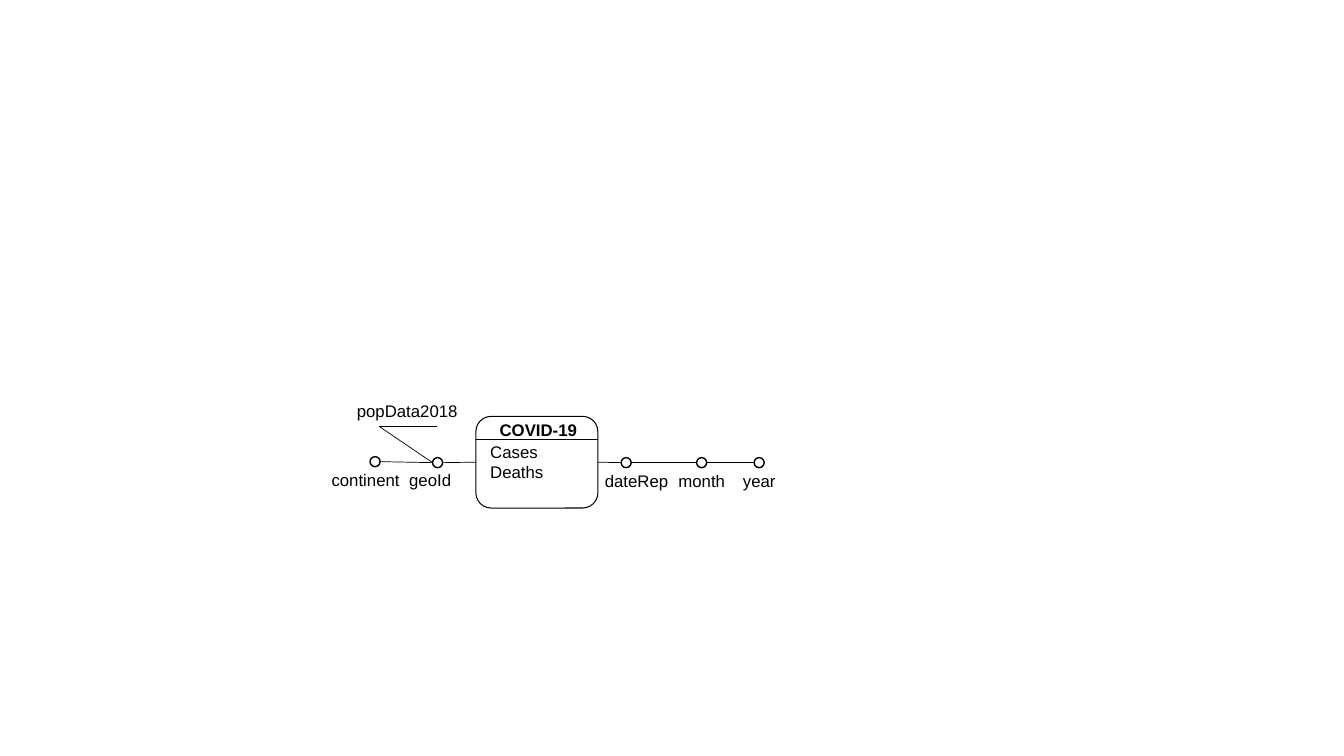
from dataclasses import dataclass

from lxml import etree
from pptx import Presentation
from pptx.dml.color import RGBColor
from pptx.enum.shapes import MSO_CONNECTOR, MSO_SHAPE
from pptx.enum.text import MSO_ANCHOR, MSO_AUTO_SIZE, PP_ALIGN
from pptx.oxml.ns import qn
from pptx.util import Emu, Inches, Pt

LINE = MSO_CONNECTOR.STRAIGHT
ROUND, OVAL = MSO_SHAPE.ROUNDED_RECTANGLE, MSO_SHAPE.OVAL
LEFT, CENTER = PP_ALIGN.LEFT, PP_ALIGN.CENTER
MIDDLE, GROW = MSO_ANCHOR.MIDDLE, MSO_AUTO_SIZE.SHAPE_TO_FIT_TEXT
BLACK, WHITE = "000000", "FFFFFF"

# Grid of 100 columns by 100 rows
WIDTH, HEIGHT = Inches(13.33), Inches(7.5)
DOT = Inches(0.1)
AXIS = 61.2
BOX = (35.41, 55.07, 9.08, 12.13)
RULE = 58.13


@dataclass(frozen=True)
class Level:
    """A dot of the hierarchy; col and row give its centre."""
    name: str
    col: float
    row: float
    left: float
    top: float
    width: float


GEO = Level("geoId", 32.56, AXIS, 29.71, 61.47, 4.65)
LAND = Level("continent", 27.91, 61.07, 23.93, 61.47, 6.6)
DAY = Level("dateRep", 46.59, AXIS, 44.26, 61.6, 6.23)
MONTH = Level("month", 52.21, AXIS, 49.74, 61.6, 5.03)
YEAR = Level("year", 56.49, AXIS, 54.54, 61.6, 3.98)


def across(col: float) -> Emu:
    return Emu(round(WIDTH * col / 100))


def down(row: float) -> Emu:
    return Emu(round(HEIGHT * row / 100))


def area(left: float, top: float, width: float, height: float) -> tuple:
    return across(left), down(top), across(width), down(height)


def paint(hue: str) -> RGBColor:
    return RGBColor.from_string(hue)


def write(shape, lines: list[str], bold: bool = False, align=LEFT) -> None:
    frame = shape.text_frame
    frame.text = "\n".join(lines)
    for para in frame.paragraphs:
        para.alignment = align
        font = para.font
        font.name, font.size, font.bold = "Arial", Pt(12), bold
        font.color.rgb = paint(BLACK)


def label(shapes, text: str, place: tuple, wrap: bool = False,
          bold: bool = False, align=LEFT) -> None:
    box = shapes.add_textbox(*area(*place))
    box.text_frame.word_wrap = wrap
    box.text_frame.auto_size = GROW
    write(box, [text], bold, align)


def stroke(shapes, start: tuple, end: tuple):
    line = shapes.add_connector(LINE, across(start[0]), down(start[1]),
                                across(end[0]), down(end[1]))
    line.line.color.rgb = paint(BLACK)
    line.line.width = Pt(0.5)
    etree.SubElement(line._element.spPr, qn("a:effectLst"))
    return line


def edge(level: Level, side: int) -> tuple:
    """Left (-1) or right (1) end of a dot."""
    return level.col + side * 50 * DOT / WIDTH, level.row


def dot(shapes, level: Level) -> None:
    ring = shapes.add_shape(OVAL, across(level.col) - DOT // 2,
                            down(level.row) - DOT // 2, DOT, DOT)
    ring.shadow.inherit = False
    ring.fill.background()
    ring.line.color.rgb = paint(BLACK)
    ring.line.width = Pt(1)
    label(shapes, level.name, (level.left, level.top, level.width, 4))


def fact(shapes):
    """Fact box: measures, rule and heading in one group."""
    group = shapes.add_group_shape().shapes
    box = group.add_shape(ROUND, *area(*BOX))
    box.shadow.inherit = False
    box.fill.solid()
    box.fill.fore_color.rgb = paint(WHITE)
    box.line.color.rgb = paint(BLACK)
    box.line.width = Pt(0.75)
    box.text_frame.vertical_anchor = MIDDLE
    write(box, ["Cases", "Deaths"])
    stroke(group, (BOX[0], RULE), (BOX[0] + BOX[2], RULE))
    label(group, "COVID-19", (36.38, 54.8, 7.35, 3.87), True, True, CENTER)
    return box


def main() -> None:
    deck = Presentation()
    deck.slide_width, deck.slide_height = WIDTH, HEIGHT
    shapes = deck.slides.add_slide(deck.slide_layouts[6]).shapes

    # Fact and its dimension levels
    box = fact(shapes)
    for level in (GEO, LAND, DAY, MONTH, YEAR):
        dot(shapes, level)

    # Links from the fact outwards
    stroke(shapes, (BOX[0], AXIS), edge(GEO, 1)).begin_connect(box, 1)
    stroke(shapes, (BOX[0] + BOX[2], AXIS), edge(DAY, -1)).begin_connect(box, 3)
    for near, far, side in ((GEO, LAND, -1), (DAY, MONTH, 1), (MONTH, YEAR, 1)):
        stroke(shapes, edge(near, side), edge(far, -side))

    # Descriptive attribute of geoId
    bend = (28.21, 56.4)
    label(shapes, "popData2018", (25.81, 52.4, 9.08, 4))
    for start in (edge(GEO, -1), (32.48, bend[1])):
        stroke(shapes, start, bend)

    deck.save("out.pptx")


if __name__ == "__main__":
    main()
